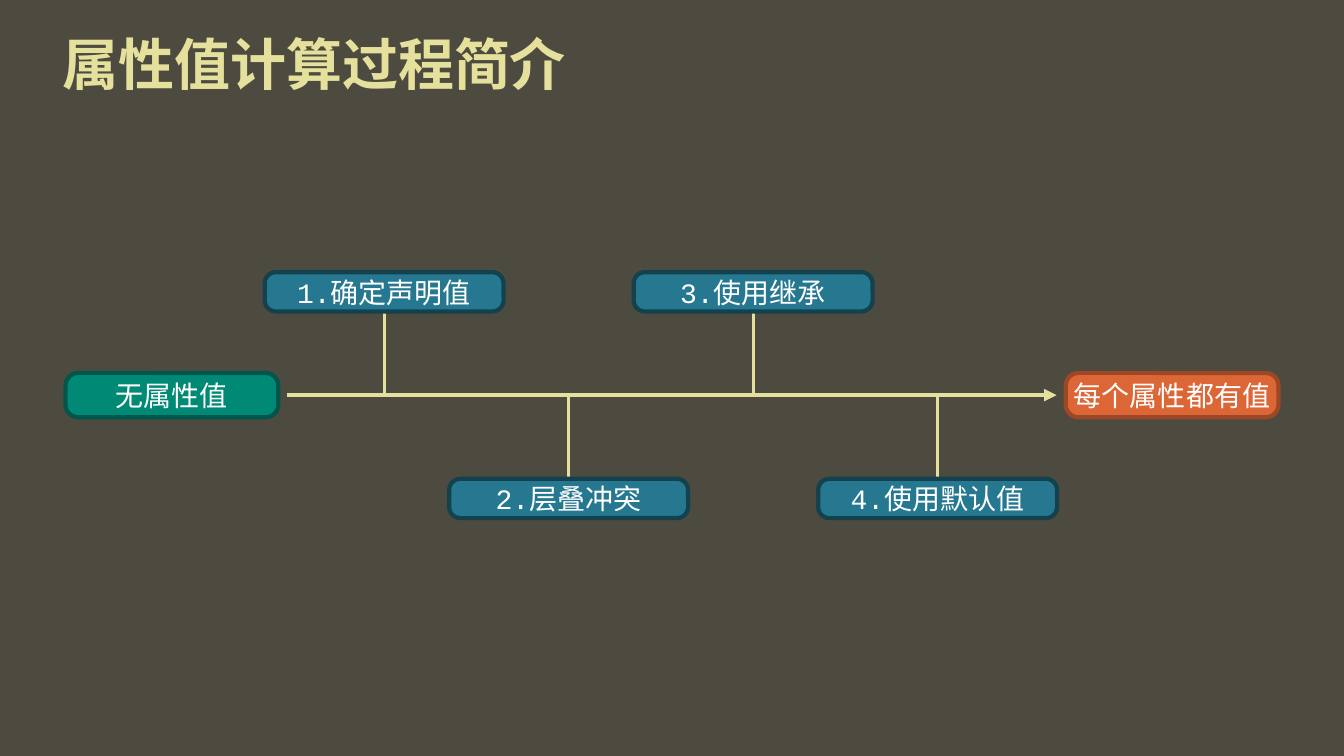
from pptx import Presentation
from pptx.dml.color import RGBColor
from pptx.enum.lang import MSO_LANGUAGE_ID as Language
from pptx.enum.shapes import MSO_CONNECTOR as Connector, MSO_SHAPE as Shape
from pptx.enum.text import MSO_ANCHOR as Anchor, PP_ALIGN as Align
from pptx.oxml.ns import qn
from pptx.util import Inches, Pt
from lxml.etree import SubElement

TITLE = "属性值计算过程简介"
STEPS = ["1.确定声明值", "2.层叠冲突", "3.使用继承", "4.使用默认值"]
ENDS = [  # text, fill, outline, wraps
    ("无属性值", "008975", "00564A", True),
    ("每个属性都有值", "DD6636", "9C4826", False),
]
STEP_FILL, STEP_OUTLINE = "267890", "14414E"
BACKGROUND, ACCENT, WHITE = "4D4A40", "E5E09C", "FFFFFF"
FONT = "Courier New"

WIDTH, HEIGHT = 13.33, 7.5
MARGIN = 0.65
AXIS_Y = 3.92
END_WIDTH, END_HEIGHT = 2.11, 0.44
STEP_WIDTH, STEP_HEIGHT = 2.37, 0.39
FIRST_STEP_X, STEP_PITCH = 3.81, 1.83
STEM = 0.83
ARROW_GAP = 0.09
TOP, BOTTOM = 0, 2


def color(value):
    return RGBColor.from_string(value)


def write(frame, text, size=20, ink=WHITE, bold=False, align=Align.CENTER,
          wrap=True, spacing=1.0):
    frame.word_wrap = wrap
    frame.vertical_anchor = Anchor.MIDDLE
    para = frame.paragraphs[0]
    para.alignment = align
    para.line_spacing = spacing
    span = para.add_run()
    span.text = text
    font = span.font
    font.name, font.size, font.bold = FONT, Pt(size), bold
    font.color.rgb = color(ink)
    font.language_id = Language.SIMPLIFIED_CHINESE


def add_box(page, text, center, size, fill, outline, wrap=True):
    (x, y), (width, height) = center, size
    box = page.shapes.add_shape(
        Shape.ROUNDED_RECTANGLE, Inches(x - width / 2), Inches(y - height / 2),
        Inches(width), Inches(height))
    box.adjustments[0] = 0.285
    box.shadow.inherit = False
    box.fill.solid()
    box.fill.fore_color.rgb = color(fill)
    box.line.color.rgb = color(outline)
    box.line.width = Pt(3)
    write(box.text_frame, text, wrap=wrap)
    return box


def add_line(page, start, end, weight):
    line = page.shapes.add_connector(
        Connector.STRAIGHT, *(Inches(value) for value in (*start, *end)))
    line.line.color.rgb = color(ACCENT)
    line.line.width = Pt(weight)
    SubElement(line._element.spPr, qn("a:effectLst"))
    return line


def add_title(page):
    box = page.shapes.add_textbox(
        Inches(0.52), Inches(0.26), Inches(WIDTH - 0.52), Inches(0.82))
    write(box.text_frame, TITLE, size=40, ink=ACCENT, bold=True,
          align=Align.LEFT, spacing=0.9)


def add_axis(page):
    centers = (MARGIN + END_WIDTH / 2, WIDTH - MARGIN - END_WIDTH / 2)
    for x, (text, fill, outline, wrap) in zip(centers, ENDS):
        add_box(page, text, (x, AXIS_Y), (END_WIDTH, END_HEIGHT),
                fill, outline, wrap)
    inset = MARGIN + END_WIDTH + ARROW_GAP
    arrow = add_line(page, (inset, AXIS_Y), (WIDTH - inset, AXIS_Y), 3)
    SubElement(arrow.line._get_or_add_ln(), qn("a:tailEnd"), type="triangle")


def add_steps(page):
    """Hang the steps alternately above and below the axis."""
    for index, text in enumerate(STEPS):
        x = FIRST_STEP_X + index * STEP_PITCH
        side, site = ((-1, BOTTOM), (1, TOP))[index % 2]
        edge = AXIS_Y + side * STEM
        stem = add_line(page, (x, AXIS_Y), (x, edge), 2.25)
        box = add_box(page, text, (x, edge + side * STEP_HEIGHT / 2),
                      (STEP_WIDTH, STEP_HEIGHT), STEP_FILL, STEP_OUTLINE)
        stem.end_connect(box, site)


def main():
    deck = Presentation()
    deck.slide_width, deck.slide_height = Inches(WIDTH), Inches(HEIGHT)
    page = deck.slides.add_slide(deck.slide_layouts[6])
    page.background.fill.solid()
    page.background.fill.fore_color.rgb = color(BACKGROUND)
    add_title(page)
    add_axis(page)
    add_steps(page)
    deck.save("out.pptx")


if __name__ == "__main__":
    main()
